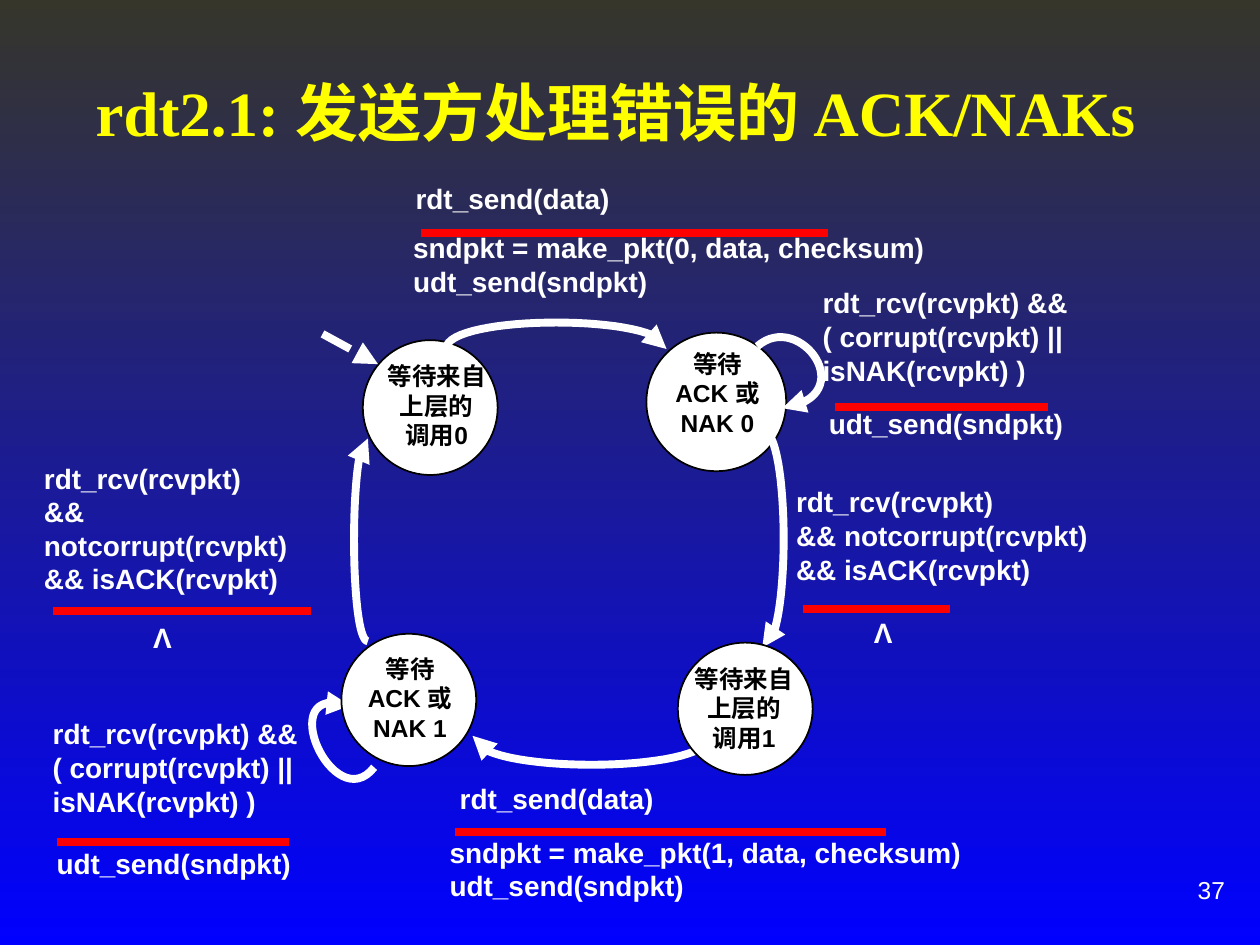
from pptx import Presentation
from pptx import util as u
from pptx.dml.color import RGBColor
from pptx.enum import dml, shapes, text
from pptx.oxml import xmlchemy
from lxml import etree

# Grid of 100 columns by 75 rows; every length below is in its cells
deck = Presentation()
deck.slide_width, deck.slide_height = u.Inches(10), u.Inches(7.5)
COLUMN = deck.slide_width / 100
ROW = deck.slide_height / 75
DRAWING = "{http://schemas.openxmlformats.org/drawingml/2006/main}"
WHITE, BLACK, RED, YELLOW = "FFFFFF", "000000", "FF0000", "FFFF00"
CURVE_STEPS = 32


def colour(value):
    return RGBColor.from_string(value)


def place(left, top, width, height):
    return (round(left * COLUMN), round(top * ROW),
            round(width * COLUMN), round(height * ROW))


def set_line(shape, value, width, arrow=False):
    shape.line.color.rgb = colour(value)
    shape.line.width = u.Pt(width)
    if arrow:
        etree.SubElement(shape.line._get_or_add_ln(), DRAWING + "tailEnd", type="triangle")


def format_para(para, size, value, align, font="Arial", bold=True):
    para.alignment = align
    para.font.name, para.font.size, para.font.bold = font, u.Pt(size), bold
    para.font.color.rgb = colour(value)


def add_text(page, box, lines, size=16, value=WHITE, align=text.PP_ALIGN.LEFT,
             bold=True, anchor=text.MSO_ANCHOR.TOP):
    frame = page.shapes.add_textbox(*place(*box)).text_frame
    frame.word_wrap = True
    frame.vertical_anchor = anchor
    frame.text = "\n".join(lines)
    for para in frame.paragraphs:
        format_para(para, size, value, align, bold=bold)


def add_straight(page, start, end, value, arrow=False):
    ends = place(*start, *end)
    line = page.shapes.add_connector(shapes.MSO_CONNECTOR.STRAIGHT, *ends)
    set_line(line, value, 4.5, arrow)
    etree.SubElement(line._element.spPr, DRAWING + "effectLst")
    return line


def add_curve(page, start, pull_start, pull_end, end):
    """Cubic curve with an arrowhead at its end."""
    points = []
    for step in range(CURVE_STEPS + 1):
        t = step / CURVE_STEPS
        weights = ((1 - t) ** 3, 3 * t * (1 - t) ** 2, 3 * t ** 2 * (1 - t), t ** 3)
        x, y = (sum(w * p for w, p in zip(weights, axis))
                for axis in zip(start, pull_start, pull_end, end))
        points.append((round(x * COLUMN), round(y * ROW)))
    builder = page.shapes.build_freeform(*points[0])
    builder.add_line_segments(points[1:], close=False)
    curve = builder.convert_to_shape()
    curve.fill.background()
    curve.shadow.inherit = False
    set_line(curve, WHITE, 4.5, arrow=True)


def add_arc(page, start, end, bulge):
    """Half an ellipse from start to end, swelling by the bulge vector."""
    pulls = [tuple(a + b * 4 / 3 for a, b in zip(point, bulge)) for point in (start, end)]
    add_curve(page, start, *pulls, end)


def add_state(page, box, label_box, lines):
    """Circle, with a label box given relative to its corner."""
    left, top = box[:2]
    circle = page.shapes.add_shape(shapes.MSO_SHAPE.OVAL, *place(*box))
    circle.shadow.inherit = False
    circle.fill.solid()
    circle.fill.fore_color.rgb = colour(WHITE)
    set_line(circle, BLACK, 1)
    dx, dy, width, height = label_box
    add_text(page, (left + dx, top + dy, width, height), lines, 14, BLACK,
             text.PP_ALIGN.CENTER)


def add_transition(page, box, events, bar, action_box, actions):
    """Event above a red bar, action below; bar and action are relative to the box."""
    left, top = box[:2]
    add_text(page, box, events)
    dx, dy, length = bar
    add_straight(page, (left + dx, top + dy), (left + dx + length, top + dy), RED)
    dx, dy, width, height = action_box
    align = text.PP_ALIGN.CENTER if actions == NOTHING else text.PP_ALIGN.LEFT
    add_text(page, (left + dx, top + dy, width, height), actions, align=align)


def add_title(page, box, wording):
    title = page.shapes.title
    title.left, title.top, title.width, title.height = place(*box)
    title.text_frame.text = wording
    title.text_frame.vertical_anchor = text.MSO_ANCHOR.MIDDLE
    format_para(title.text_frame.paragraphs[0], 36, YELLOW, text.PP_ALIGN.CENTER,
                "Times New Roman")


# Wording shared by both halves of the machine
NOTHING = ["Λ"]
SEND = ["rdt_send(data)"]
RESEND = ["udt_send(sndpkt)"]
BAD_REPLY = ["rdt_rcv(rcvpkt) &&", "( corrupt(rcvpkt) ||", "isNAK(rcvpkt) )"]
GOOD_REPLY = ["rdt_rcv(rcvpkt)", "&& notcorrupt(rcvpkt)", "&& isACK(rcvpkt)"]


def make_packet(number):
    return [f"sndpkt = make_pkt({number}, data, checksum)"] + RESEND


def wait_call(number):
    return ["等待来自", "上层的", f"调用{number}"]


def wait_reply(number):
    return ["等待", f"ACK 或 NAK {number}"]


TRANSITIONS = [
    ((32, 13.9, 24.9, 3.8), SEND, (1.4, 4.6, 32.3), (-0.2, 3.9, 43.6, 5.1), make_packet(0)),
    ((64.3, 22.2, 30.3, 7.2), BAD_REPLY, (2, 10.1, 16.9), (0.5, 9.6, 26.7, 5.1), RESEND),
    ((62.2, 38, 35.3, 7.2), GOOD_REPLY, (1.5, 10.3, 11.7), (6.1, 10.4, 3.6, 3.7), NOTHING),
    ((35.5, 61.5, 28.2, 3.6), SEND, (0.6, 4.5, 34.2), (-0.8, 4.3, 44.4, 5.1), make_packet(1)),
    ((3.2, 56.4, 23.7, 7.2), BAD_REPLY, (1.3, 10.4, 18.4), (0.3, 10.3, 21.5, 3.5), RESEND),
    ((2.5, 36.1, 24.9, 7.2), GOOD_REPLY, (1.7, 12.4, 20.5), (8.6, 12.7, 3.6, 3.7), NOTHING),
]

page = deck.slides.add_slide(deck.slide_layouts[5])

# Background
fill = page.background.fill
fill.gradient()
fill.gradient_angle = 270
for stop, value in zip(fill.gradient_stops, ("36362B", "0000FF")):
    stop.color.rgb = colour(value)

# Title and page number
add_title(page, (3.6, 2.6, 90.5, 12.5), "rdt2.1: 发送方处理错误的 ACK/NAKs")
add_text(page, (71.7, 68.1, 26.5, 5), ["37"], 14, align=text.PP_ALIGN.RIGHT,
         bold=False, anchor=text.MSO_ANCHOR.MIDDLE)

# Upper states
add_state(page, (28.8, 27, 10.7, 10.7), (-0.6, 1.2, 12.9, 7.7), wait_call(0))
add_state(page, (51.3, 26.4, 11.1, 11), (-0.8, 0.8, 12.9, 8.2), wait_reply(0))

# Entry arrow, arcs between states, loops
entry = add_straight(page, (25.6, 26.5), (30, 28.9), WHITE, arrow=True)
entry.line.dash_style = dml.MSO_LINE.DASH
add_arc(page, (35.4, 27.7), (52.9, 27.7), (0, -2.1))
add_arc(page, (60.5, 34.1), (60.5, 51.4), (1.7, 0))
add_arc(page, (56.4, 58.4), (37.5, 58.4), (0, 2.3))
add_arc(page, (29.2, 50.9), (29.2, 34.8), (-1.1, 0))
add_curve(page, (60.1, 27.5), (63.5, 24.5), (68.5, 31.5), (62.1, 32.4))
add_curve(page, (29.7, 60.9), (26.5, 65), (21.5, 54), (27.8, 56))

# Lower states
add_state(page, (53.8, 51, 10.7, 10.5), (-0.9, 1.2, 12.3, 7.7), wait_call(1))
add_state(page, (27.1, 50.3, 10.7, 10.5), (-0.7, 1.1, 12.3, 7.7), wait_reply(1))

# Transition labels
for transition in TRANSITIONS:
    add_transition(page, *transition)

deck.save("out.pptx")
